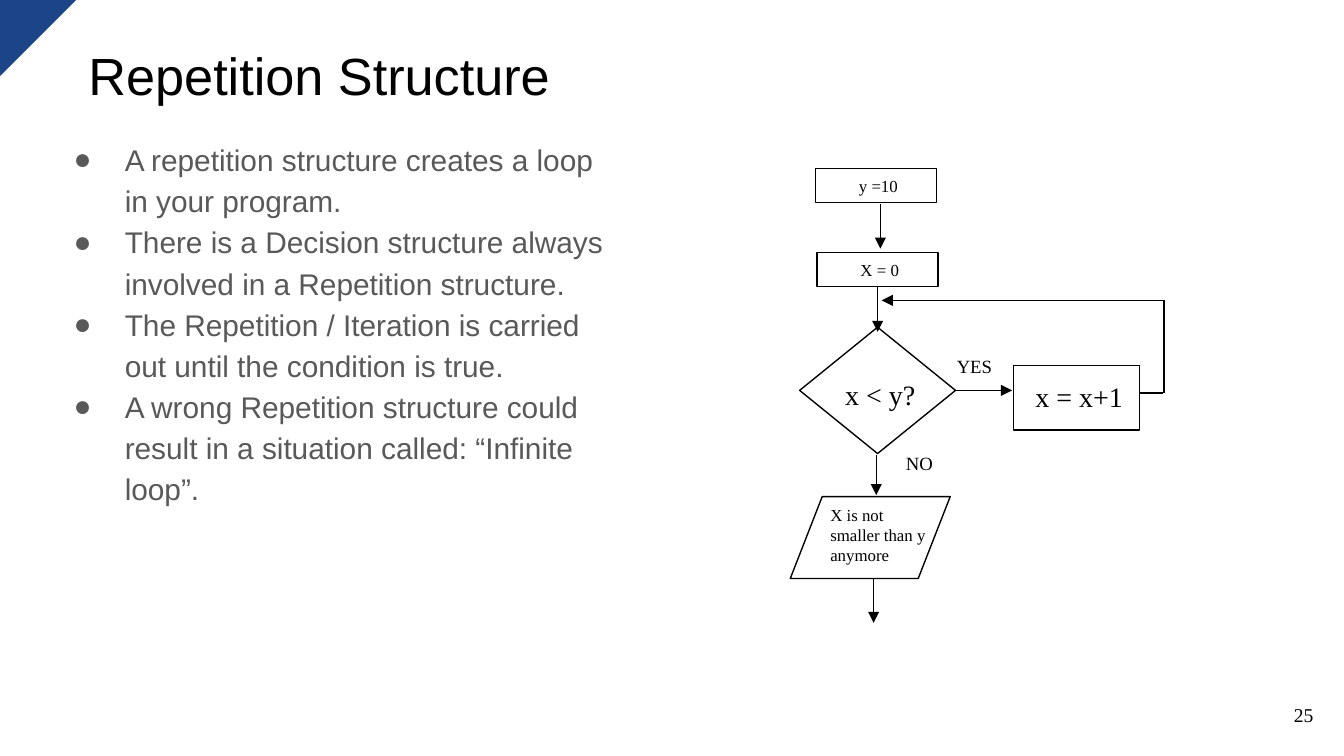
import pptx
import pptx.util
import pptx.dml.color
import pptx.enum.shapes
import pptx.enum.text
import pptx.oxml.ns
import lxml.etree

Inches = pptx.util.Inches
RGB = pptx.dml.color.RGBColor
Shape = pptx.enum.shapes.MSO_SHAPE
Align = pptx.enum.text.PP_ALIGN
Anchor = pptx.enum.text.MSO_ANCHOR
qn = pptx.oxml.ns.qn

BLACK = RGB(0x00, 0x00, 0x00)
GREY = RGB(0x59, 0x59, 0x59)
BLUE = RGB(0x1C, 0x45, 0x87)
WHITE = RGB(0xFF, 0xFF, 0xFF)
SANS, SERIF = "Arial", "Times New Roman"

WIDE = Inches(10)
HIGH = WIDE * 9 // 16
CELL = WIDE / 100  # square grid, 100 columns across the slide

POINTS = [
    "A repetition structure creates a loop in your program.",
    "There is a Decision structure always involved in a Repetition structure.",
    "The Repetition / Iteration is carried out until the condition is true.",
    "A wrong Repetition structure could result in a situation called: “Infinite loop”.",
]
BOXES = [  # kind, grid place, words
    (Shape.FLOWCHART_DECISION, (59.5, 24.35, 11.6, 9.4), None),
    (Shape.RECTANGLE, (75.4, 27.2, 9.4, 4.8), None),
    (Shape.RECTANGLE, (60.8, 18.8, 9, 2.5), " X = 0"),
    (Shape.RECTANGLE, (60.7, 12.55, 9, 2.5), " y =10"),
    (Shape.FLOWCHART_DATA, (58.8, 36.95, 11.9, 6.1), None),
]
LABELS = [  # words, grid place, size
    ("x < y?", (61.6, 27.6, 7.8, 3.5), 15),
    ("x = x+1", (75, 27.75, 10.6, 3.5), 15),
    ("YES", (69.3, 25.9, 6.4, 2.7), 10),
    ("NO", (65.2, 33.1, 6.4, 2.7), 10),
]
LINES = [  # start, end, arrowhead
    ((65.5, 15.2), (65.5, 18.5), True),
    ((65.3, 21.3), (65.3, 24.7), True),
    ((71, 29.05), (75.3, 29.05), True),
    ((84.8, 29.25), (86.5, 29.25), False),
    ((86.6, 29.25), (86.6, 22.35), False),
    ((86.6, 22.35), (65.6, 22.35), True),
    ((65.2, 33.85), (65.2, 36.85), True),
    ((65, 43), (65, 46.35), True),
]


def grid(cells):
    return [round(n * CELL) for n in cells]


def dot(para, size):
    """Hang a round bullet in front of a paragraph."""
    props = para._p.get_or_add_pPr()
    props.set("marL", str(Inches(0.5)))
    props.set("indent", str(Inches(-0.38)))
    tint = lxml.etree.SubElement(props, qn("a:buClr"))
    lxml.etree.SubElement(tint, qn("a:srgbClr"), val=str(GREY))
    lxml.etree.SubElement(props, qn("a:buSzPts"), val=str(size * 100))
    lxml.etree.SubElement(props, qn("a:buFont"), typeface=SANS)
    lxml.etree.SubElement(props, qn("a:buChar"), char="●")


def text(host, words, size, font=SERIF, color=BLACK, align=Align.LEFT,
         anchor=Anchor.TOP, pad=0.05, gap=None, mark=False):
    """Write one paragraph into host for each item in words."""
    frame = host.text_frame
    frame.word_wrap = True
    frame.vertical_anchor = anchor
    frame.margin_left = frame.margin_right = Inches(0.1)
    frame.margin_top = frame.margin_bottom = Inches(pad)
    for i, item in enumerate(words):
        para = frame.add_paragraph() if i else frame.paragraphs[0]
        para.alignment = align
        if gap:
            para.line_spacing = gap
        if mark:
            dot(para, size)
        run = para.add_run()
        run.text = item
        run.font.name = font
        run.font.size = pptx.util.Pt(size)
        run.font.color.rgb = color


def area(shapes, place):
    return shapes.add_textbox(*grid(place))


def box(shapes, kind, place, fill=None, line=BLACK):
    shape = shapes.add_shape(kind, *grid(place))
    shape.shadow.inherit = False
    if fill is None:
        shape.fill.background()
    else:
        shape.fill.solid()
        shape.fill.fore_color.rgb = fill
    shape.line.color.rgb = line
    shape.line.width = pptx.util.Pt(0.75)
    return shape


def link(shapes, start, end, arrow):
    line = shapes.add_connector(
        pptx.enum.shapes.MSO_CONNECTOR.STRAIGHT, *grid(start + end))
    line.line.color.rgb = BLACK
    line.line.width = pptx.util.Pt(0.75)
    if arrow:
        lxml.etree.SubElement(line.line._get_or_add_ln(), qn("a:tailEnd"),
                              type="triangle")
    lxml.etree.SubElement(line._element.spPr, qn("a:effectLst"))


def chart(shapes):
    """Draw the flow chart of the loop."""
    for kind, place, words in BOXES:
        shape = box(shapes, kind, place)
        if words:
            text(shape, [words], 9, align=Align.CENTER)
    for start, end, arrow in LINES:
        link(shapes, start, end, arrow)
    for words, place, size in LABELS:
        text(area(shapes, place), [words], size, align=Align.CENTER)
    text(area(shapes, (60.8, 37.05, 9.3, 5.6)),
         ["X is not smaller than y anymore"], 9)


def main():
    deck = pptx.Presentation()
    deck.slide_width, deck.slide_height = WIDE, HIGH
    slide = deck.slides.add_slide(deck.slide_layouts[6])
    slide.background.fill.solid()
    slide.background.fill.fore_color.rgb = WHITE
    shapes = slide.shapes

    text(area(shapes, (5.6, 2.15, 44.4, 6.8)), ["Repetition Structure"], 28,
         font=SANS, anchor=Anchor.MIDDLE, pad=0.1)
    text(area(shapes, (3.3, 9.15, 43.9, 33.8)), POINTS, 16, font=SANS,
         color=GREY, pad=0.1, gap=1.15, mark=True)
    text(area(shapes, (92.7, 51, 6, 4.3)), ["25"], 10.5, align=Align.RIGHT,
         anchor=Anchor.MIDDLE, pad=0.1)
    corner = box(shapes, Shape.RIGHT_TRIANGLE, (0, 0, 5.6, 5.6), BLUE, BLUE)
    corner.rotation = 90
    chart(shapes.add_group_shape().shapes)
    deck.save("out.pptx")


if __name__ == "__main__":
    main()
